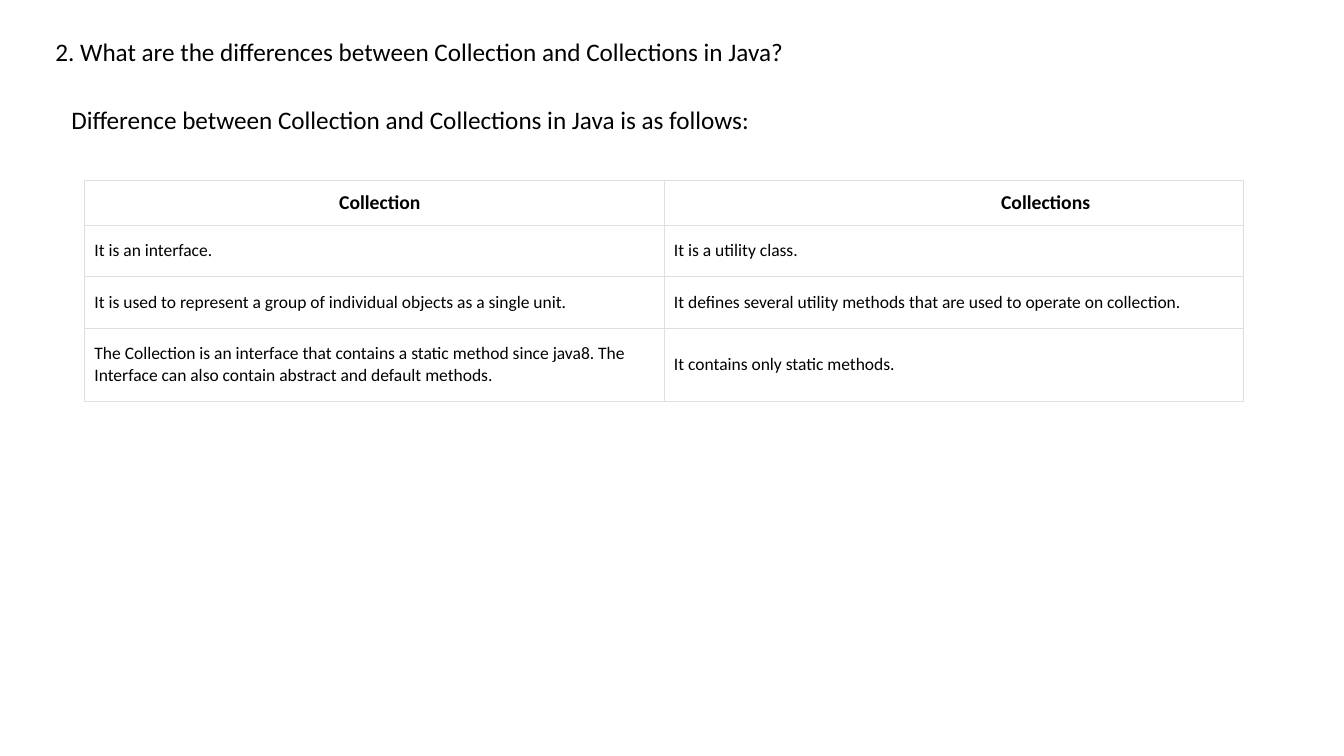
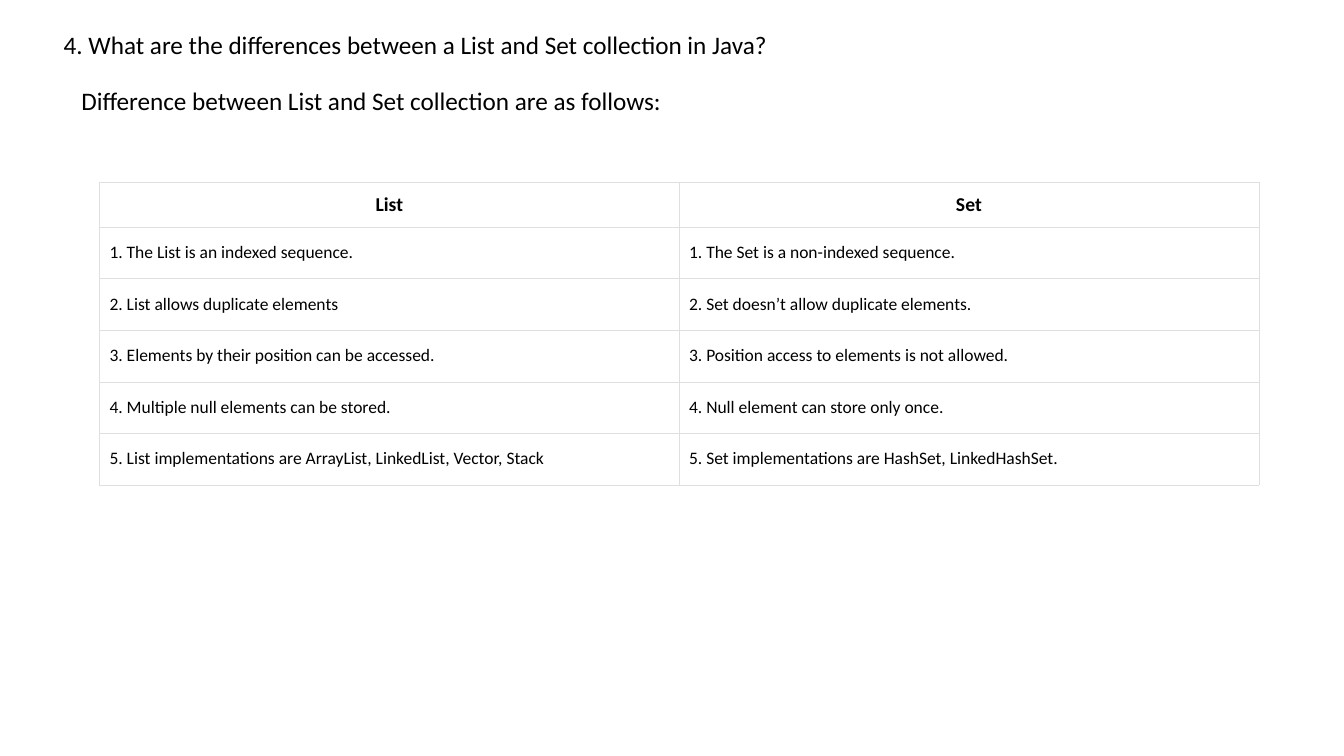
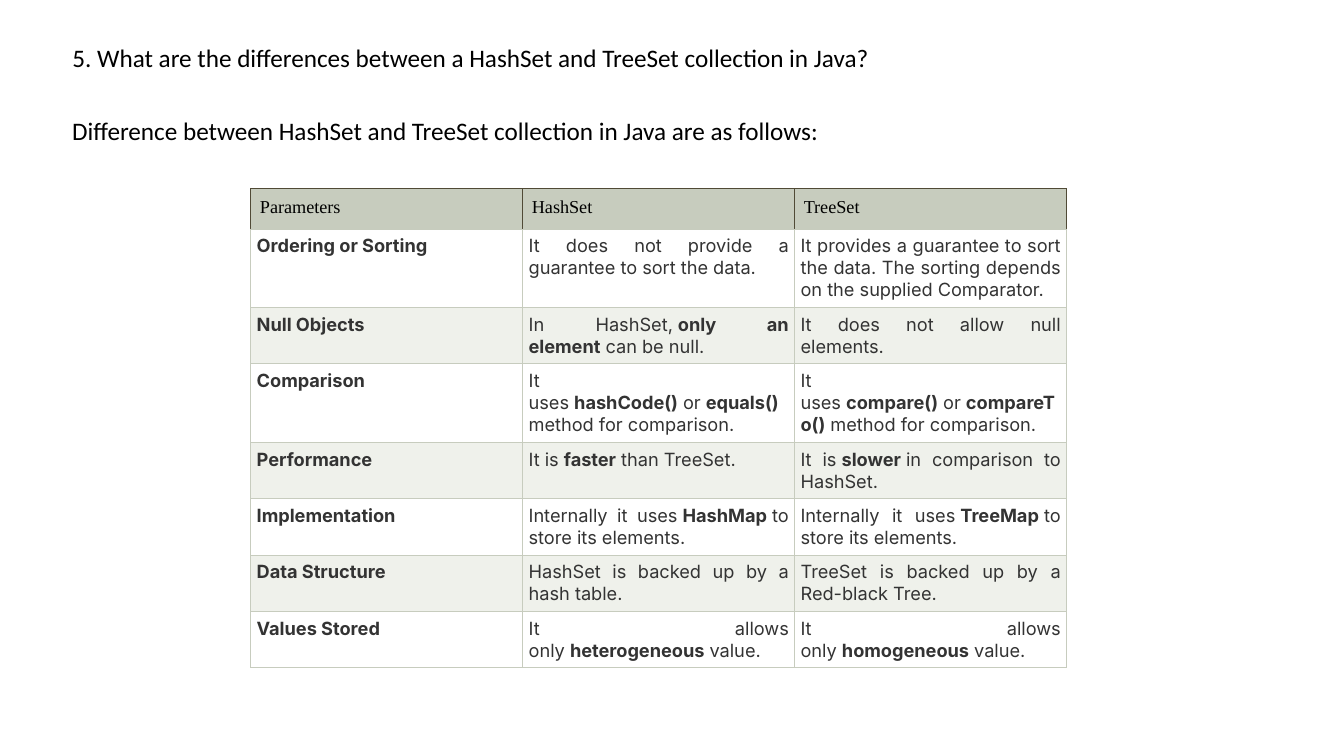
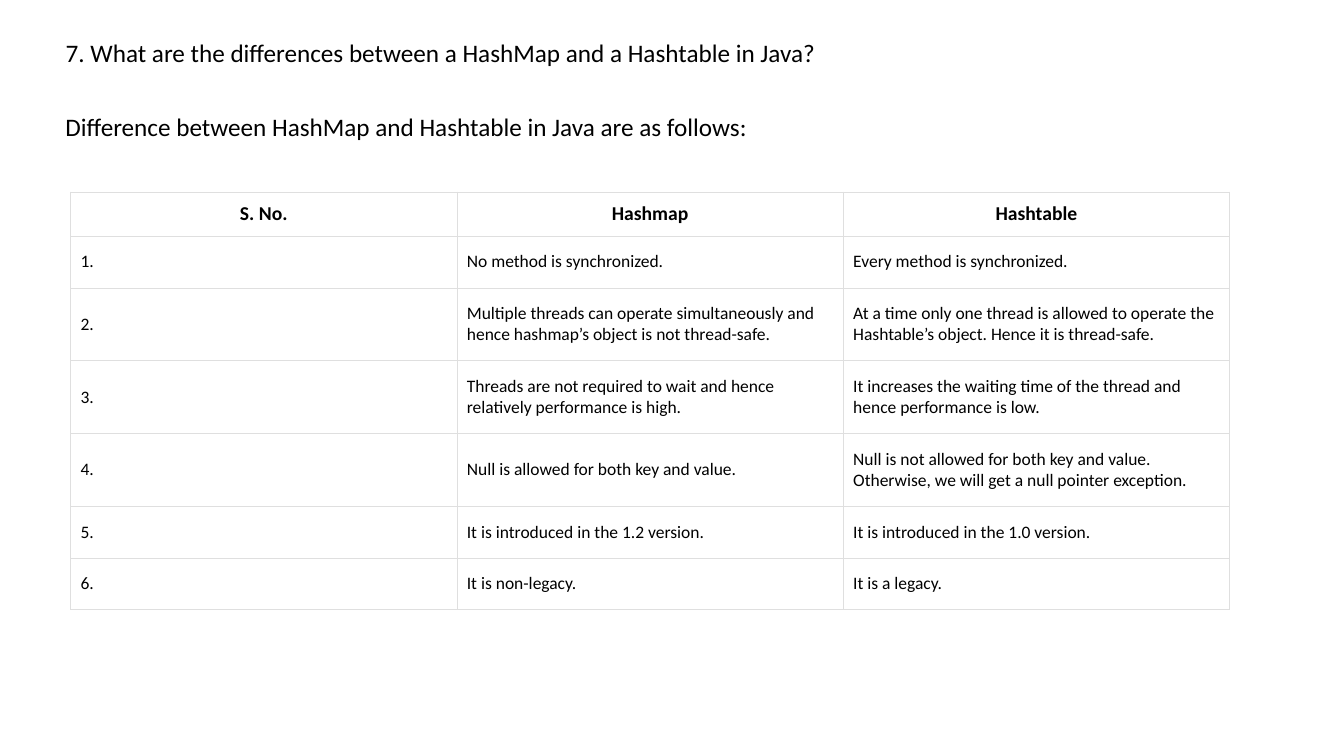
from dataclasses import dataclass

from lxml import etree
from pptx import Presentation
from pptx.dml.color import RGBColor
from pptx.enum import text
from pptx.oxml.ns import qn
from pptx.util import Cm, Pt

BLACK = RGBColor(0x00, 0x00, 0x00)
WHITE = RGBColor(0xFF, 0xFF, 0xFF)
CHARCOAL = RGBColor(0x33, 0x33, 0x33)
PALE_GREY = RGBColor(0xDF, 0xDF, 0xDF)
SAGE = RGBColor(0xC7, 0xCC, 0xBE)
PALE_SAGE = RGBColor(0xEF, 0xF1, 0xEB)
OLIVE = RGBColor(0x50, 0x4A, 0x36)

LEFT, CENTER, JUSTIFY = (
    text.PP_ALIGN.LEFT, text.PP_ALIGN.CENTER, text.PP_ALIGN.JUSTIFY)
TOP, MIDDLE = text.MSO_ANCHOR.TOP, text.MSO_ANCHOR.MIDDLE
TITLE_ONLY = 5
HEADER, ONE_LINE, TWO_LINES = 1.12, 1.27, 1.8


@dataclass
class Box:
    left: float
    top: float
    width: float
    height: float = 0


@dataclass
class CellStyle:
    font: str
    size: float
    color: RGBColor
    align: int
    anchor: int
    side_margin: float
    edge_margin: float
    edges: tuple
    edge_width: float
    bold: bool = False


PLAIN_HEADER = CellStyle("Calibri", 14, BLACK, CENTER, MIDDLE, 0.25, 0.25,
                         (PALE_GREY,) * 4, 0.23, True)
PLAIN_BODY = CellStyle("Calibri", 12.5, BLACK, LEFT, MIDDLE, 0.25, 0.38,
                       (PALE_GREY,) * 4, 0.23)
SAGE_HEADER = CellStyle("Times New Roman", 13, BLACK, LEFT, TOP, 0.23, 0.23,
                        (OLIVE, OLIVE, OLIVE, SAGE), 0.75)
SAGE_BODY = CellStyle("Inter", 13, CHARCOAL, JUSTIFY, TOP, 0.15, 0.15,
                      (SAGE,) * 4, 0.75)


def add_span(para, words, font, size, color, bold=False):
    span = para.add_run()
    span.text = words
    span.font.name = font
    span.font.size = Pt(size)
    span.font.color.rgb = color
    span.font.bold = bold


def write_line(shape, words):
    frame = shape.text_frame
    frame.word_wrap = False
    frame.auto_size = text.MSO_AUTO_SIZE.NONE
    frame.vertical_anchor = TOP
    para = frame.paragraphs[0]
    para.alignment = LEFT
    add_span(para, words, "Calibri", 18, BLACK)


def lengths(box):
    return Cm(box.left), Cm(box.top), Cm(box.width), Cm(box.height)


def add_heading(page, question, question_box, lead, lead_box):
    title = page.shapes.title
    title.left, title.top, title.width, title.height = lengths(question_box)
    write_line(title, question)
    write_line(page.shapes.add_textbox(*lengths(lead_box)), lead)


def draw_edges(cell, colors, width):
    properties = cell._tc.get_or_add_tcPr()
    for index, (side, color) in enumerate(zip("LRTB", colors)):
        line = etree.Element(qn(f"a:ln{side}"), w=str(Pt(width)))
        fill = etree.SubElement(line, qn("a:solidFill"))
        etree.SubElement(fill, qn("a:srgbClr"), val=str(color))
        properties.insert(index, line)


def fill_cell(cell, words, style, background, bold_first=False, shift=0):
    cell.fill.solid()
    cell.fill.fore_color.rgb = background
    draw_edges(cell, style.edges, style.edge_width)
    cell.margin_left = Cm(style.side_margin + shift)
    cell.margin_right = Cm(style.side_margin)
    cell.margin_top = cell.margin_bottom = Cm(style.edge_margin)
    cell.vertical_anchor = style.anchor
    para = cell.text_frame.paragraphs[0]
    para.alignment = style.align
    for index, part in enumerate(words.split("**")):
        if part:
            bold = style.bold or bold_first or index % 2 == 1
            add_span(para, part, style.font, style.size, style.color, bold)


def add_grid(page, box, rows, heights):
    columns = len(rows[0])
    frame = page.shapes.add_table(
        len(rows), columns, Cm(box.left), Cm(box.top),
        Cm(box.width), Cm(sum(heights)))
    table = frame.table
    table.first_row = table.horz_banding = False
    for column in table.columns:
        column.width = Cm(box.width / columns)
    for row, height in zip(table.rows, heights):
        row.height = Cm(height)
    return table


def add_plain_table(page, box, rows, heights, shifts=(0, 0, 0)):
    table = add_grid(page, box, rows, heights)
    for r, row in enumerate(rows):
        for c, words in enumerate(row):
            style = PLAIN_BODY if r else PLAIN_HEADER
            fill_cell(table.cell(r, c), words, style, WHITE,
                      shift=0 if r else shifts[c])


def add_sage_table(page, box, rows, heights):
    table = add_grid(page, box, rows, heights)
    for r, row in enumerate(rows):
        for c, words in enumerate(row):
            if r == 0:
                fill_cell(table.cell(r, c), words, SAGE_HEADER, SAGE)
            else:
                band = WHITE if r % 2 else PALE_SAGE
                fill_cell(table.cell(r, c), words, SAGE_BODY, band, c == 0)


def add_page(deck):
    return deck.slides.add_slide(deck.slide_layouts[TITLE_ONLY])


def collection_page(deck):
    page = add_page(deck)
    add_heading(
        page,
        "2. What are the differences between Collection and Collections in Java?",
        Box(1.14, 0.79, 19.13, 1.02),
        "Difference between Collection and Collections in Java is as follows:",
        Box(1.55, 2.51, 17.83, 2.57))
    rows = [
        ("Collection", "Collections"),
        ("It is an interface.", "It is a utility class."),
        ("It is used to represent a group of individual objects as a single unit.",
         "It defines several utility methods that are used to operate on collection."),
        ("The Collection is an interface that contains a static method since java8. "
         "The Interface can also contain abstract and default methods.",
         "It contains only static methods."),
    ]
    add_plain_table(page, Box(2.13, 4.55, 29.21), rows,
                    [HEADER, ONE_LINE, ONE_LINE, TWO_LINES], (0.28, 4.63))


def list_set_page(deck):
    page = add_page(deck)
    add_heading(
        page,
        "4. What are the differences between a List and Set collection in Java?",
        Box(1.35, 0.61, 18.49, 1.02),
        "Difference between List and Set collection are as follows:",
        Box(1.8, 2.03, 15.32, 2.57))
    rows = [
        ("List", "Set"),
        ("1. The List is an indexed sequence.",
         "1. The Set is a non-indexed sequence."),
        ("2. List allows duplicate elements",
         "2. Set doesn’t allow duplicate elements."),
        ("3. Elements by their position can be accessed.",
         "3. Position access to elements is not allowed."),
        ("4. Multiple null elements can be stored.",
         "4. Null element can store only once."),
        ("5. List implementations are ArrayList, LinkedList, Vector, Stack",
         "5. Set implementations are HashSet, LinkedHashSet."),
    ]
    add_plain_table(page, Box(2.51, 4.6, 29.21), rows,
                    [HEADER] + [ONE_LINE] * 5)


def hash_tree_page(deck):
    page = add_page(deck)
    add_heading(
        page,
        "5. What are the differences between a HashSet and TreeSet collection in Java?",
        Box(1.57, 0.94, 20.7, 1.02),
        "Difference between HashSet and TreeSet collection in Java are as follows:",
        Box(1.57, 2.77, 19.56, 2.57))
    rows = [
        ("Parameters", "HashSet", "TreeSet"),
        ("Ordering or Sorting",
         "It does not provide a guarantee to sort the data.",
         "It provides a guarantee to sort the data. "
         "The sorting depends on the supplied Comparator."),
        ("Null Objects",
         "In HashSet,\u00a0**only an element**\u00a0can be null.",
         "It does not allow null elements."),
        ("Comparison",
         "It uses\u00a0**hashCode()**\u00a0or\u00a0**equals()**\u00a0method for comparison.",
         "It uses\u00a0**compare()**\u00a0or\u00a0**compareTo()**\u00a0method for comparison."),
        ("Performance",
         "It is\u00a0**faster**\u00a0than TreeSet.",
         "It is\u00a0**slower**\u00a0in comparison to HashSet."),
        ("Implementation",
         "Internally it uses\u00a0**HashMap**\u00a0to store its elements.",
         "Internally it uses\u00a0**TreeMap**\u00a0to store its elements."),
        ("Data Structure",
         "HashSet is backed up by a hash table.",
         "TreeSet is backed up by a Red-black Tree."),
        ("Values Stored",
         "It allows only\u00a0**heterogeneous**\u00a0value.",
         "It allows only\u00a0**homogeneous**\u00a0value."),
    ]
    add_sage_table(page, Box(6.32, 4.75, 20.56), rows,
                   [1.02, 1.98, 1.42, 1.98] + [1.42] * 4)


def map_table_page(deck):
    page = add_page(deck)
    add_heading(
        page,
        "7. What are the differences between a HashMap and a Hashtable in Java?",
        Box(1.4, 0.81, 19.51, 1.02),
        "Difference between HashMap and Hashtable in Java are as follows:",
        Box(1.4, 2.67, 17.91, 1.8))
    rows = [
        ("S. No.", "Hashmap", "Hashtable"),
        ("1.", "No method is synchronized.", "Every method is synchronized."),
        ("2.",
         "Multiple threads can operate simultaneously and hence "
         "hashmap’s object is not thread-safe.",
         "At a time only one thread is allowed to operate the "
         "Hashtable’s object. Hence it is thread-safe."),
        ("3.",
         "Threads are not required to wait and hence relatively performance is high.",
         "It increases the waiting time of the thread and hence performance is low."),
        ("4.", "Null is allowed for both key and value.",
         "Null is not allowed for both key and value. "
         "Otherwise, we will get a null pointer exception."),
        ("5.", "It is introduced in the 1.2 version.",
         "It is introduced in the 1.0 version."),
        ("6.", "It is non-legacy.", "It is a legacy."),
    ]
    add_plain_table(page, Box(1.78, 4.83, 29.21), rows,
                    [HEADER, ONE_LINE] + [TWO_LINES] * 3 + [ONE_LINE] * 2)


deck = Presentation()
deck.slide_width, deck.slide_height = Cm(33.87), Cm(19.05)
for build in (collection_page, list_set_page, hash_tree_page, map_table_page):
    build(deck)
deck.save("out.pptx")
